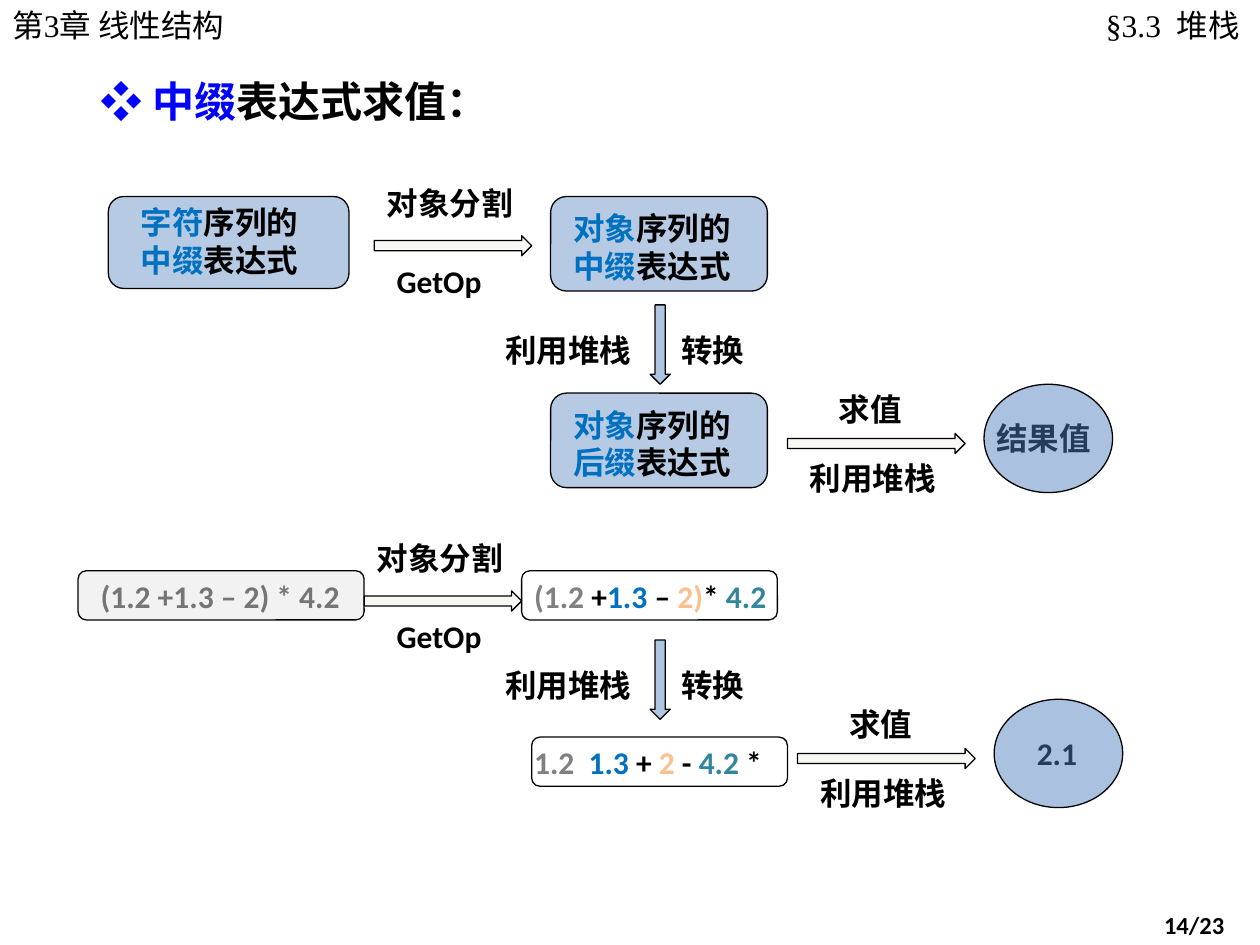
from lxml import etree
from pptx import Presentation
from pptx.dml import color
from pptx.enum import shapes, text
from pptx.oxml import ns
from pptx.util import Inches, Pt

COLORS = {
    "black": "000000", "title": "0000FF", "blue": "0070C0", "steel": "4F81BD",
    "cream": "F8F7F3", "silver": "E6E6E6", "gray": "808080", "peach": "FAC090",
    "teal": "31859C",
}
KIND = shapes.MSO_SHAPE

deck = Presentation()
deck.slide_width, deck.slide_height = Inches(10), Inches(7.5)
slide = deck.slides.add_slide(deck.slide_layouts[6])


def add_label(x, y, w, h, *lines, size=18, font="Calibri", bold=True, wrap=False):
    """Each line is a plain string or a list of (words, colour) runs."""
    label = slide.shapes.add_textbox(Inches(x), Inches(y), Inches(w), Inches(h))
    frame = label.text_frame
    frame.word_wrap = wrap
    frame.auto_size = text.MSO_AUTO_SIZE.SHAPE_TO_FIT_TEXT
    for i, line in enumerate(lines):
        para = frame.add_paragraph() if i else frame.paragraphs[0]
        para.font.size, para.font.name, para.font.bold = Pt(size), font, bold
        for words, tint in [(line, "black")] if isinstance(line, str) else line:
            run = para.add_run()
            run.text = words
            run.font.color.rgb = color.RGBColor.from_string(COLORS[tint])
    return frame


def add_block(kind, x, y, w, h, fill=None, opacity=100):
    block = slide.shapes.add_shape(kind, Inches(x), Inches(y), Inches(w), Inches(h))
    block.shadow.inherit = False
    block.line.color.rgb = color.RGBColor.from_string(COLORS["black"])
    block.line.width = Pt(0.75)
    if fill is None:
        block.fill.background()
        return
    block.fill.solid()
    block.fill.fore_color.rgb = color.RGBColor.from_string(COLORS[fill])
    if opacity < 100:
        tint = block.fill._xPr.find(".//" + ns.qn("a:srgbClr"))
        etree.SubElement(tint, ns.qn("a:alpha")).set("val", str(opacity * 1000))


# Title and running heads
add_label(0.7, 0.55, 3.29, 0.5, [("❖ 中缀", "title"), ("表达式求值：", "black")], size=24)
add_label(0, 0, 2.09, 0.4, "第3章 线性结构", font="Times New Roman", bold=False, wrap=True)
section = add_label(8.47, 0, 1.53, 0.4, "§3.3  堆栈",
                    font="Times New Roman", bold=False, wrap=True)
section.margin_left, section.margin_right = Inches(0.12), Inches(0.16)
section.paragraphs[0].alignment = text.PP_ALIGN.RIGHT

# Expression forms: box, then text offset and width, then the coloured words
for x, y, w, h, dx, dy, text_w, sequence, notation in [
    (0.86, 1.56, 1.91, 0.73, 0.16, 0, 1.64, "字符", "中缀"),
    (4.37, 1.56, 1.72, 0.75, 0.08, 0.05, 1.54, "对象", "中缀"),
    (4.37, 3.12, 1.72, 0.75, 0.08, 0.05, 1.54, "对象", "后缀"),
]:
    add_block(KIND.ROUNDED_RECTANGLE, x, y, w, h, "steel", 41)
    add_label(x + dx, y + dy, text_w, 0.71,
              [(sequence, "blue"), ("序列的", "black")],
              [(notation, "blue"), ("表达式", "black")], wrap=True)

# Worked example: each translucent or hollow box lies over its expression
infix = [("(1.2 ", "gray"), ("+", "black"), ("1.3 ", "blue"), ("– ", "black"),
         ("2)", "peach"), ("* ", "black"), ("4.2", "teal")]
postfix = [("1.2  ", "gray"), ("1.3", "blue"), (" + ", "black"), ("2", "peach"),
           (" - ", "black"), ("4.2", "teal"), (" *", "black")]
for text_x, text_w, box_x, box_w, y, expression, fill in [
    (0.7, 2.19, 0.62, 2.27, 4.53, "(1.2 +1.3 – 2) * 4.2", "silver"),
    (4.14, 2.11, 4.14, 2.03, 4.53, infix, None),
    (4.14, 2.19, 4.22, 2.03, 5.85, postfix, None),
]:
    add_label(text_x, y, text_w, 0.4, expression, wrap=True)
    add_block(KIND.ROUNDED_RECTANGLE, box_x, y, box_w, 0.39, fill, 51)

# Splitting step
for x, y in [(2.97, 1.87), (2.89, 4.69)]:
    add_block(KIND.RIGHT_ARROW, x, y, 1.25, 0.16, "cream")
    add_label(x, y - 0.46, 1.21, 0.4, "对象分割")
    add_label(3.05, y + 0.16, 0.93, 0.4, "GetOp")

# Conversion step
for y in (2.42, 5.08):
    add_block(KIND.DOWN_ARROW, 5.16, y, 0.16, 0.63, "steel", 45)
    add_label(3.91, y + 0.16, 1.21, 0.4, "利用堆栈")
    add_label(5.31, y + 0.16, 0.71, 0.4, "转换")

# Evaluation step and its result
for x, y, result, result_dx, result_dy, result_w in [
    (6.25, 3.05, "结果值", 0, 0.23, 0.96),
    (6.33, 5.55, "2.1", 0.24, 0.23, 0.52),
]:
    add_block(KIND.RIGHT_ARROW, x, y + 0.39, 1.41, 0.16, "cream")
    add_label(x + 0.31, y, 0.71, 0.4, "求值")
    add_label(x + 0.08, y + 0.54, 1.21, 0.4, "利用堆栈")
    add_label(x + 1.56 + result_dx, y + result_dy, result_w, 0.4, result)
    add_block(KIND.OVAL, x + 1.56, y, 1.02, 0.86, "steel", 48)

# Page number
add_label(9.14, 7.17, 0.86, 0.33, "14/23", size=14, wrap=True)

deck.save("out.pptx")
